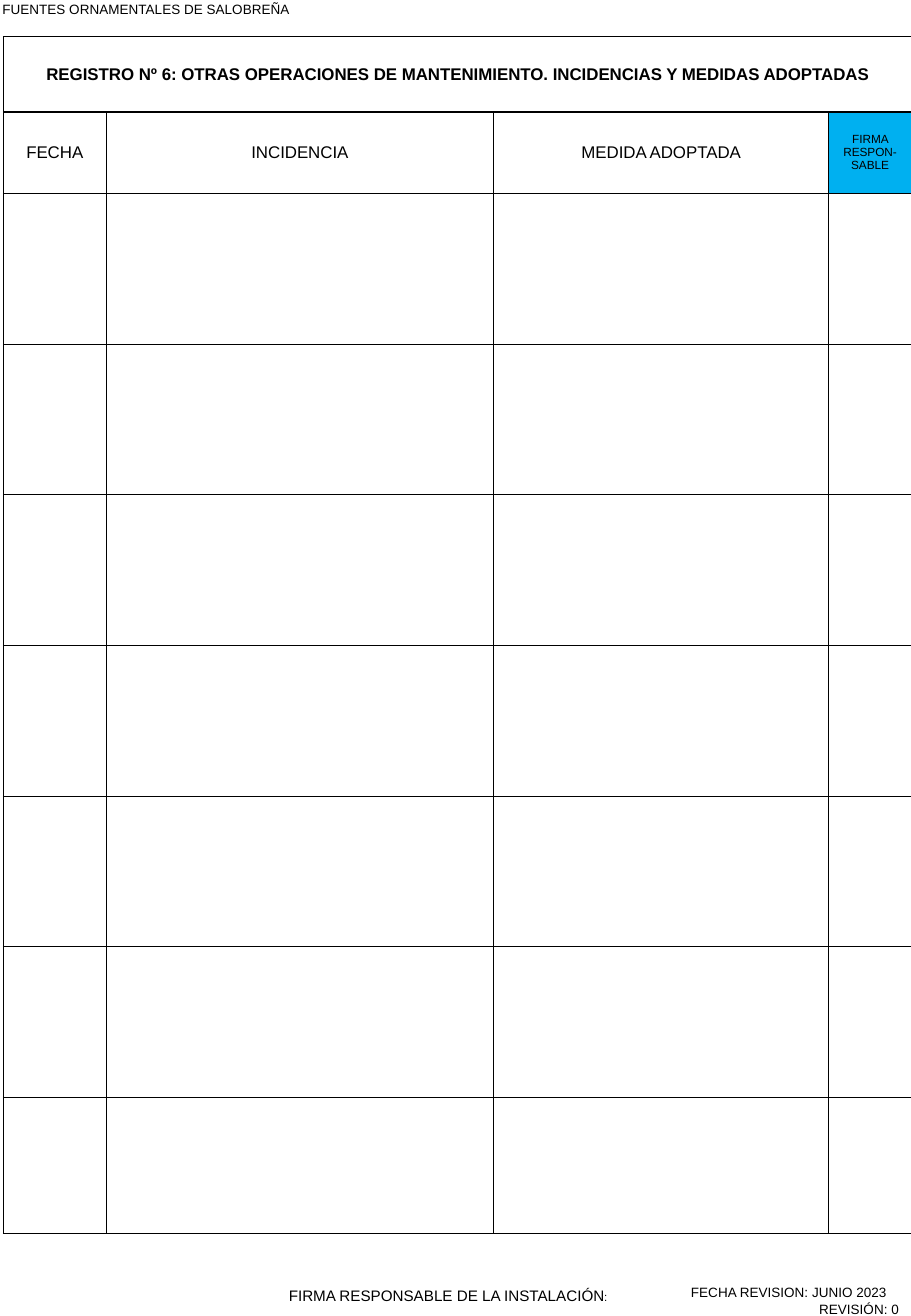
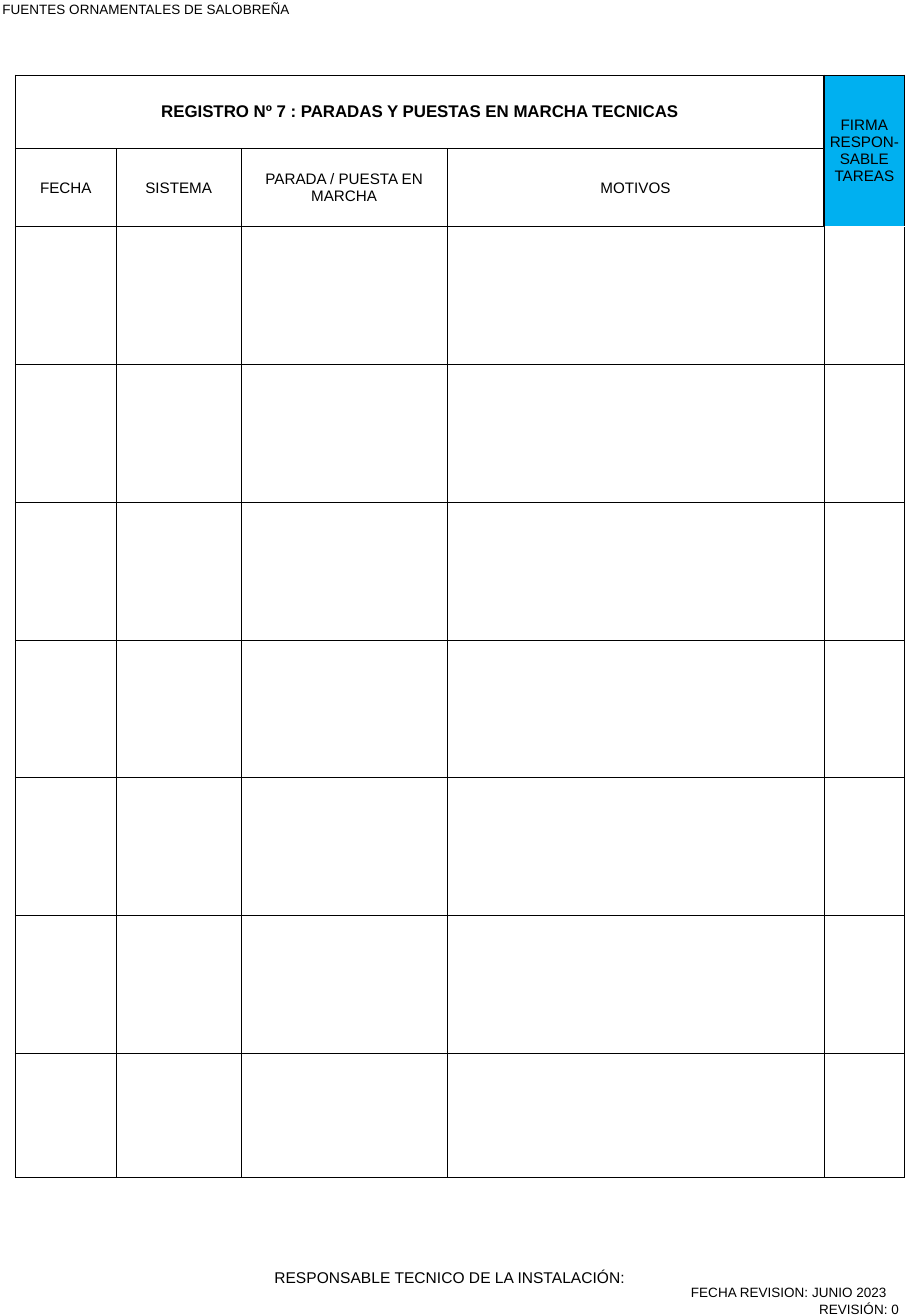
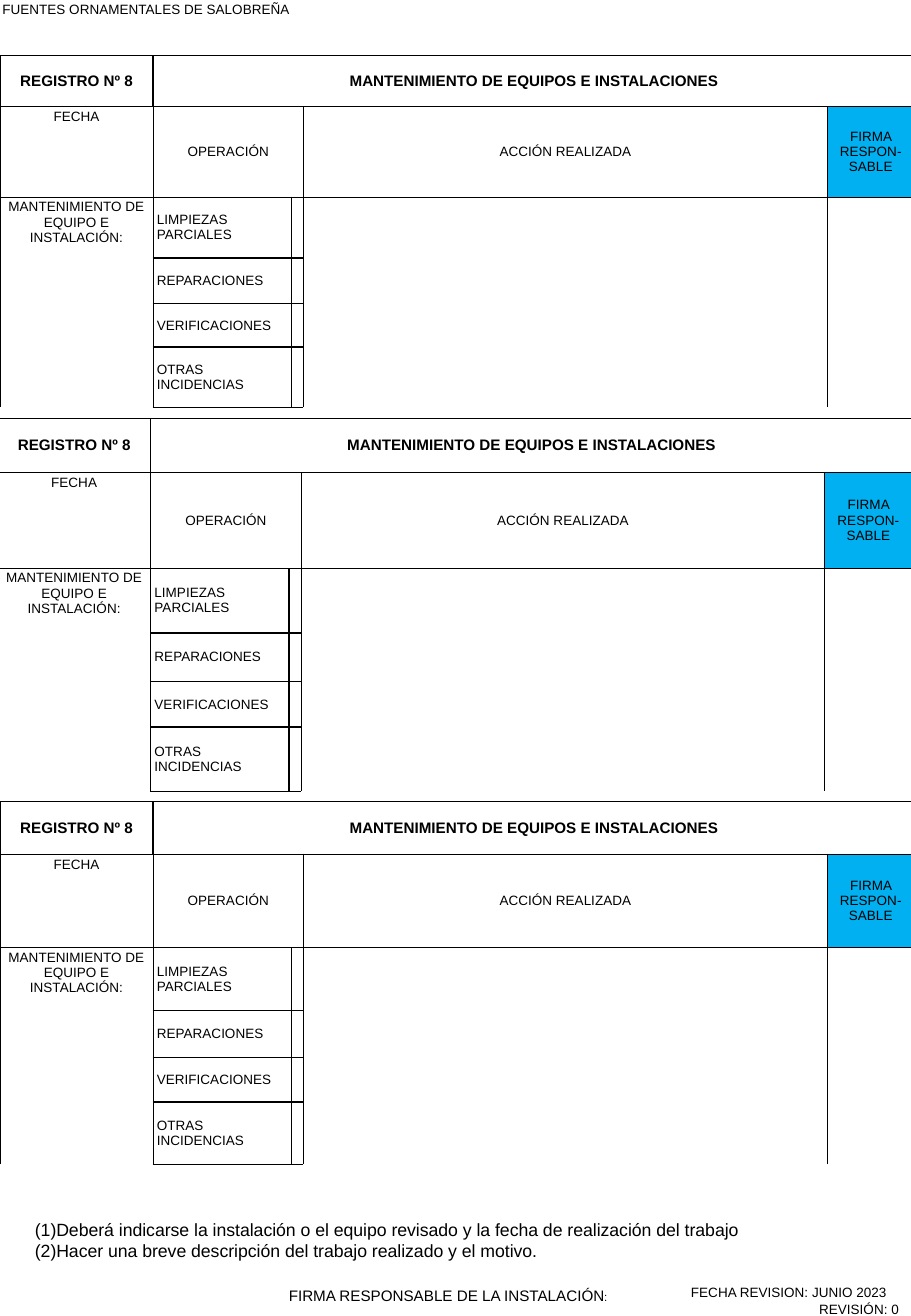
"""Builds the three maintenance record sheets."""
from dataclasses import dataclass, field
from typing import Any, NamedTuple

from lxml import etree
from pptx import Presentation
from pptx import util as u
from pptx.dml.color import RGBColor
from pptx.enum import text
from pptx.oxml.ns import qn

BLACK, WHITE, BLUE = "000000", "FFFFFF", "00B0F0"
FONT = "Arial"
LEFT, CENTER, RIGHT = text.PP_ALIGN.LEFT, text.PP_ALIGN.CENTER, text.PP_ALIGN.RIGHT
TOP, MIDDLE = text.MSO_ANCHOR.TOP, text.MSO_ANCHOR.MIDDLE
THIN, THICK = 0.5, 1


class Run(NamedTuple):
    """A stretch of text with its size in points."""
    text: str
    size: float


@dataclass
class Para:
    """A paragraph of a text box; lengths in centimetres."""
    runs: list[Run]
    align: Any = LEFT
    margin: float = 0
    indent: float = 0
    numbering: str = ""


@dataclass
class Box:
    """A text box; lengths in centimetres."""
    left: float
    top: float
    width: float
    height: float
    paras: list[Para]
    pad: tuple[float, float] = (0.25, 0.13)


@dataclass
class Cell:
    """A table cell; heavy lists the edges drawn with a thick line."""
    row: int
    col: int
    text: str = ""
    size: float = 8
    bold: bool = False
    align: Any = CENTER
    anchor: Any = MIDDLE
    fill: str = WHITE
    rows: int = 1
    cols: int = 1
    heavy: str = ""


@dataclass
class Grid:
    """A table; lengths in centimetres."""
    left: float
    top: float
    cols: list[float]
    rows: list[float]
    cells: list[Cell] = field(default_factory=list)
    pad: tuple[float, float] = (0.08, 0.05)


def rgb(value: str) -> RGBColor:
    """Turn a hex string into a colour."""
    return RGBColor.from_string(value)


def apply(target: Any, fmt: dict[str, Any]) -> None:
    """Set every format value on the target."""
    for name, value in fmt.items():
        setattr(target, name, value)


def margins(pad: tuple[float, float]) -> dict[str, Any]:
    """Give the margin values for a horizontal and a vertical inset."""
    x, y = map(u.Cm, pad)
    return {"margin_left": x, "margin_right": x, "margin_top": y, "margin_bottom": y}


def add_run(p: Any, run: Run, bold: bool = False) -> None:
    """Add a formatted run to a paragraph."""
    r = p.add_run()
    r.text = run.text
    apply(r.font, {"name": FONT, "size": u.Pt(run.size), "bold": bold})
    r.font.color.rgb = rgb(BLACK)


def add_box(s: Any, box: Box) -> None:
    """Draw a text box."""
    sp = s.shapes.add_textbox(*map(u.Cm, (box.left, box.top, box.width, box.height)))
    tf = sp.text_frame
    apply(tf, {"word_wrap": True, **margins(box.pad)})
    for i, para in enumerate(box.paras):
        p = tf.add_paragraph() if i else tf.paragraphs[0]
        p.alignment = para.align
        pPr = p._p.get_or_add_pPr()
        pPr.set("marL", str(u.Cm(para.margin)))
        pPr.set("indent", str(u.Cm(para.indent)))
        if para.numbering:
            etree.SubElement(pPr, qn("a:buAutoNum"), type=para.numbering)
        for run in para.runs:
            add_run(p, run)


def add_border(tc: Any, edge: str, width: float) -> None:
    """Draw one edge of a table cell."""
    ln = etree.SubElement(tc.get_or_add_tcPr(), qn(f"a:ln{edge.upper()}"), w=str(u.Pt(width)))
    fill = etree.SubElement(ln, qn("a:solidFill"))
    etree.SubElement(fill, qn("a:srgbClr"), val=BLACK)


def add_borders(table: Any, cell: Cell) -> None:
    """Draw the outer edges of a cell and of all it spans."""
    last_row, last_col = cell.row + cell.rows - 1, cell.col + cell.cols - 1
    for row in range(cell.row, last_row + 1):
        for col in range(cell.col, last_col + 1):
            outer = {"l": col == cell.col, "r": col == last_col,
                     "t": row == cell.row, "b": row == last_row}
            for edge, drawn in outer.items():
                if drawn:
                    add_border(table.cell(row, col)._tc, edge,
                               THICK if edge in cell.heavy else THIN)


def fill_cell(table: Any, cell: Cell, pad: tuple[float, float]) -> None:
    """Merge, border, colour and write one cell."""
    c = table.cell(cell.row, cell.col)
    if cell.rows * cell.cols > 1:
        c.merge(table.cell(cell.row + cell.rows - 1, cell.col + cell.cols - 1))
    add_borders(table, cell)
    apply(c, {"vertical_anchor": cell.anchor, **margins(pad)})
    c.fill.solid()
    c.fill.fore_color.rgb = rgb(cell.fill)
    tf = c.text_frame
    for i, line in enumerate(cell.text.split("\n")):
        p = tf.add_paragraph() if i else tf.paragraphs[0]
        p.alignment = cell.align
        if line:
            add_run(p, Run(line, cell.size), cell.bold)
        else:
            p._p.get_or_add_endParaRPr().set("sz", str(cell.size * 100))


def add_grid(s: Any, grid: Grid) -> None:
    """Draw a table, adding a plain cell wherever none is described."""
    size = u.Cm(sum(grid.cols)), u.Cm(sum(grid.rows))
    table = s.shapes.add_table(len(grid.rows), len(grid.cols),
                               u.Cm(grid.left), u.Cm(grid.top), *size).table
    apply(table, {"first_row": False, "horz_banding": False})
    for column, width in zip(table.columns, grid.cols):
        column.width = u.Cm(width)
    for row, height in zip(table.rows, grid.rows):
        row.height = u.Cm(height)
    covered = {(r, c) for cell in grid.cells
               for r in range(cell.row, cell.row + cell.rows)
               for c in range(cell.col, cell.col + cell.cols)}
    blanks = [Cell(r, c) for r in range(len(grid.rows)) for c in range(len(grid.cols))
              if (r, c) not in covered]
    for cell in grid.cells + blanks:
        fill_cell(table, cell, grid.pad)


PAGE_MARKS = [
    Box(0, 0, 8.2, 0.48, [Para([Run("FUENTES ORNAMENTALES DE SALOBREÑA", 8)])], (0.05, 0.03)),
    Box(13.13, 26.72, 5.92, 0.84, [
        Para([Run("FECHA REVISION: JUNIO 2023", 8)], margin=1.07),
        Para([Run("REVISIÓN: 0", 8)], RIGHT)]),
]
SIGNATURE = Box(5.79, 26.77, 7.44, 0.41, [
    Para([Run("FIRMA RESPONSABLE DE LA INSTALACIÓN", 9), Run(":", 6.9)])])
TECHNICIAN = Box(4.32, 26.37, 10.16, 0.66, [
    Para([Run("RESPONSABLE TECNICO DE LA INSTALACIÓN:", 9.2)], CENTER)])
NOTES = Box(0.48, 25.35, 18.11, 1.14, [
    Para([Run(note, 10.5)], margin=0.2, indent=-0.2, numbering="arabicParenBoth")
    for note in (
        "Deberá indicarse la instalación o el equipo revisado y la fecha de realización del trabajo",
        "Hacer una breve descripción del trabajo realizado y el motivo.")])


def incidents() -> Grid:
    """Describe record 6."""
    heads = [Cell(1, i, head, 10, heavy="t")
             for i, head in enumerate(("FECHA", "INCIDENCIA", "MEDIDA ADOPTADA"))]
    title = "REGISTRO Nº 6: OTRAS OPERACIONES DE MANTENIMIENTO. INCIDENCIAS Y MEDIDAS ADOPTADAS"
    return Grid(0.07, 0.77, [2.15, 8.1, 7.01, 1.73], [1.57, 1.7] + [3.15] * 6 + [2.84], [
        Cell(0, 0, title, 10, True, cols=4, heavy="b"),
        *heads,
        Cell(1, 3, "FIRMA RESPON-SABLE", 7, fill=BLUE, heavy="t"),
    ], (0.13, 0.05))


def stoppages() -> Grid:
    """Describe record 7."""
    heads = [Cell(1, i, head, 9, heavy="t") for i, head in enumerate(
        ("FECHA", "SISTEMA", "PARADA / PUESTA EN MARCHA", "MOTIVOS"))]
    title = "REGISTRO Nº 7 : PARADAS Y PUESTAS EN MARCHA TECNICAS"
    return Grid(0.32, 1.57, [2.11, 2.61, 4.31, 7.88, 1.69], [1.54] * 2 + [2.88] * 6 + [2.59], [
        Cell(0, 0, title, 10, True, cols=4, heavy="rb"),
        Cell(0, 4, "FIRMA\nRESPON-\nSABLE\nTAREAS", 9, fill=BLUE, rows=2, heavy="l"),
        *heads,
    ])


def maintenance(left: float, top: float, scale: float) -> Grid:
    """Describe one form of record 8, with its row heights scaled."""
    tasks = ("LIMPIEZAS PARCIALES", "REPARACIONES", "VERIFICACIONES", "OTRAS INCIDENCIAS")
    checks = []
    for i, task in enumerate(tasks):
        heavy = ("t" if i else "") + ("b" if i < len(tasks) - 1 else "")
        checks += [Cell(2 + i, 1, task, align=LEFT, heavy=heavy + "r"),
                   Cell(2 + i, 2, heavy=heavy + "l")]
    rows = [round(height * scale, 2) for height in (1.07, 1.89, 1.27, 0.96, 0.9, 1.27)]
    return Grid(left, top, [3.2, 2.89, 0.25, 10.95, 1.82], rows, [
        Cell(0, 0, "REGISTRO Nº 8", 9, True, heavy="rb"),
        Cell(0, 1, "MANTENIMIENTO DE EQUIPOS E INSTALACIONES", 9, True, cols=4, heavy="lb"),
        Cell(1, 0, "FECHA", anchor=TOP, heavy="t"),
        Cell(1, 1, "OPERACIÓN", cols=2, heavy="t"),
        Cell(1, 3, "ACCIÓN REALIZADA", heavy="t"),
        Cell(1, 4, "FIRMA RESPON-SABLE", fill=BLUE, heavy="t"),
        Cell(2, 0, "MANTENIMIENTO DE EQUIPO E INSTALACIÓN:", anchor=TOP, rows=4),
        *checks,
        Cell(2, 3, rows=4),
        Cell(2, 4, rows=4),
    ])


def main() -> None:
    """Build and save the presentation."""
    prs = Presentation()
    apply(prs, {"slide_width": u.Cm(19.05), "slide_height": u.Cm(27.51)})
    forms = [maintenance(0, 1.16, 1), maintenance(-0.05, 8.75, 1.06), maintenance(0, 16.76, 1.03)]
    pages = [
        ([incidents()], [SIGNATURE]),
        ([stoppages()], [TECHNICIAN]),
        (forms, [SIGNATURE, NOTES]),
    ]
    for grids, boxes in pages:
        s = prs.slides.add_slide(prs.slide_layouts[6])
        for box in PAGE_MARKS + boxes:
            add_box(s, box)
        for grid in grids:
            add_grid(s, grid)
    prs.save("out.pptx")


if __name__ == "__main__":
    main()
